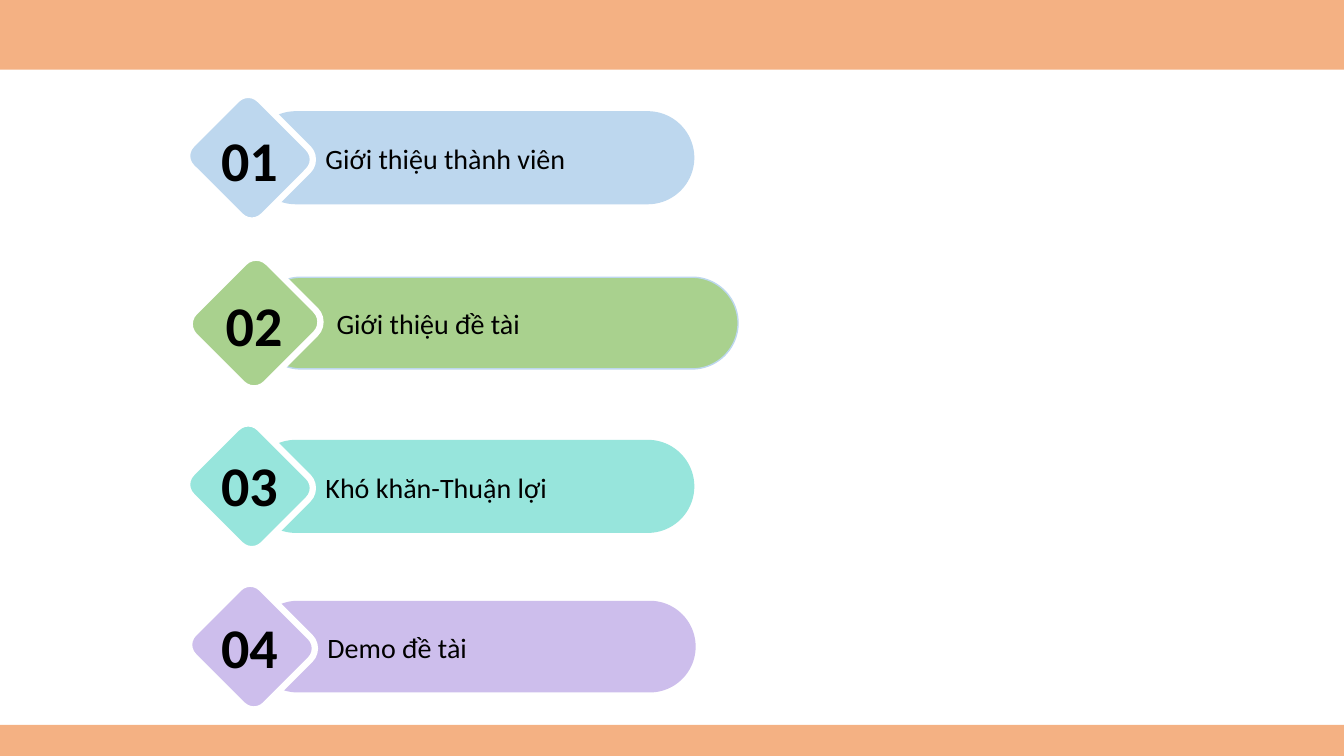
import pptx
import pptx.dml.color
import pptx.enum.shapes
import pptx.enum.text
import pptx.util

Inches = pptx.util.Inches
Pt = pptx.util.Pt
RGBColor = pptx.dml.color.RGBColor
MSO_SHAPE = pptx.enum.shapes.MSO_SHAPE
PP_ALIGN = pptx.enum.text.PP_ALIGN

ORANGE = RGBColor(0xF4, 0xB1, 0x83)
BLUE = RGBColor(0xBD, 0xD7, 0xEE)
GREEN = RGBColor(0xA9, 0xD1, 0x8E)
TEAL = RGBColor(0x97, 0xE5, 0xDC)
PURPLE = RGBColor(0xCD, 0xBE, 0xEC)
WHITE = RGBColor(0xFF, 0xFF, 0xFF)
BLACK = RGBColor(0x00, 0x00, 0x00)

SLIDE_WIDTH, SLIDE_HEIGHT = 13.33, 7.5
BAR_HEIGHT = 0.91
NUMBER_LEFT = 1.96

# number, label, colour, outline, bar box (left, top, width),
# diamond height, number width, number drop, label indent
AGENDA = [
    ("01", "Giới thiệu thành viên", BLUE, BLUE, (2.48, 1.11, 4.4), 0.95, 1.03, 0.09, 0.65),
    ("02", "Giới thiệu đề tài", GREEN, BLUE, (2.53, 2.75, 4.79), 1.03, 1.12, 0.08, 0.71),
    ("03", "Khó khăn-Thuận lợi", TEAL, TEAL, (2.48, 4.37, 4.4), 0.95, 1.03, 0.05, 0.65),
    ("04", "Demo đề tài", PURPLE, None, (2.5, 5.96, 4.4), 0.95, 1.03, 0.07, 0.65),
]


def add_filled(slide, preset, box, fill, outline=None, outline_width=1):
    shape = slide.shapes.add_shape(preset, *map(Inches, box))
    shape.shadow.inherit = False
    shape.fill.solid()
    shape.fill.fore_color.rgb = fill
    if outline is None:
        shape.line.fill.background()
    else:
        shape.line.color.rgb = outline
        shape.line.width = Pt(outline_width)
    return shape


def add_text(slide, box, text, size, bold=False, align=PP_ALIGN.LEFT):
    frame = slide.shapes.add_textbox(*map(Inches, box)).text_frame
    frame.word_wrap = True
    paragraph = frame.paragraphs[0]
    paragraph.text = text
    paragraph.alignment = align
    paragraph.font.name = "Calibri"
    paragraph.font.size = Pt(size)
    paragraph.font.bold = bold
    paragraph.font.color.rgb = BLACK


def add_bands(slide):
    """Draw the orange strips along the bottom and top edges."""
    for top, height in ((7.19, 0.31), (0, 0.69)):
        add_filled(slide, MSO_SHAPE.RECTANGLE, (0, top, SLIDE_WIDTH, height), ORANGE)


def add_agenda_item(slide, number, label, colour, outline, bar_box,
                    diamond_height, number_width, number_drop, label_indent):
    """Draw a pill bar with a numbered diamond centred near its left end."""
    left, top, width = bar_box
    bar = add_filled(slide, MSO_SHAPE.ROUNDED_RECTANGLE,
                     (left, top, width, BAR_HEIGHT), colour, outline)
    bar.adjustments[0] = 0.5

    diamond_top = top + (BAR_HEIGHT - diamond_height) / 2
    diamond = add_filled(slide, MSO_SHAPE.ROUNDED_RECTANGLE,
                         (left - 0.5, diamond_top, 1, diamond_height),
                         colour, WHITE, 4.5)
    diamond.rotation = 45

    add_text(slide, (NUMBER_LEFT, top + number_drop, number_width, 0.77),
             number, 40, bold=True, align=PP_ALIGN.CENTER)
    add_text(slide, (left + label_indent, top + 0.245, 3.57, 0.44), label, 20)


def main():
    presentation = pptx.Presentation()
    presentation.slide_width = Inches(SLIDE_WIDTH)
    presentation.slide_height = Inches(SLIDE_HEIGHT)
    slide = presentation.slides.add_slide(presentation.slide_layouts[6])
    add_bands(slide)
    for item in AGENDA:
        add_agenda_item(slide, *item)
    presentation.save("out.pptx")


if __name__ == "__main__":
    main()
